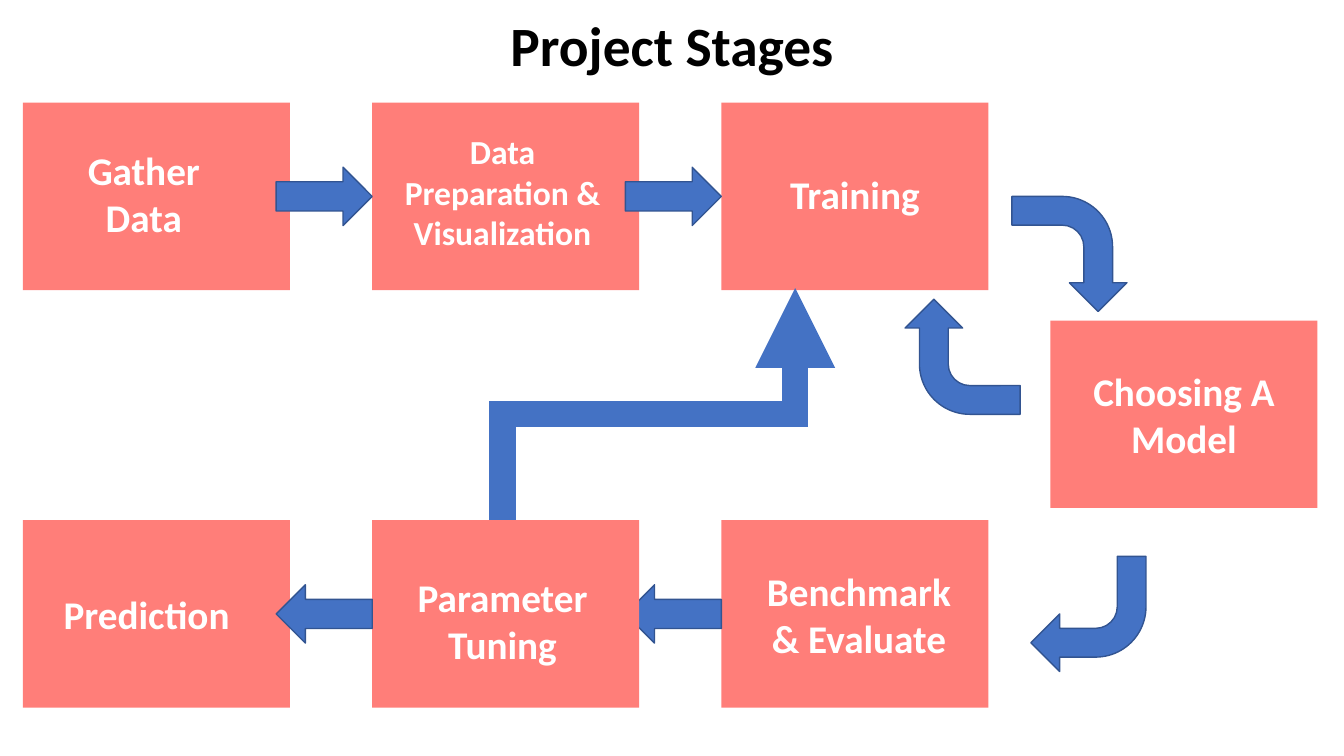
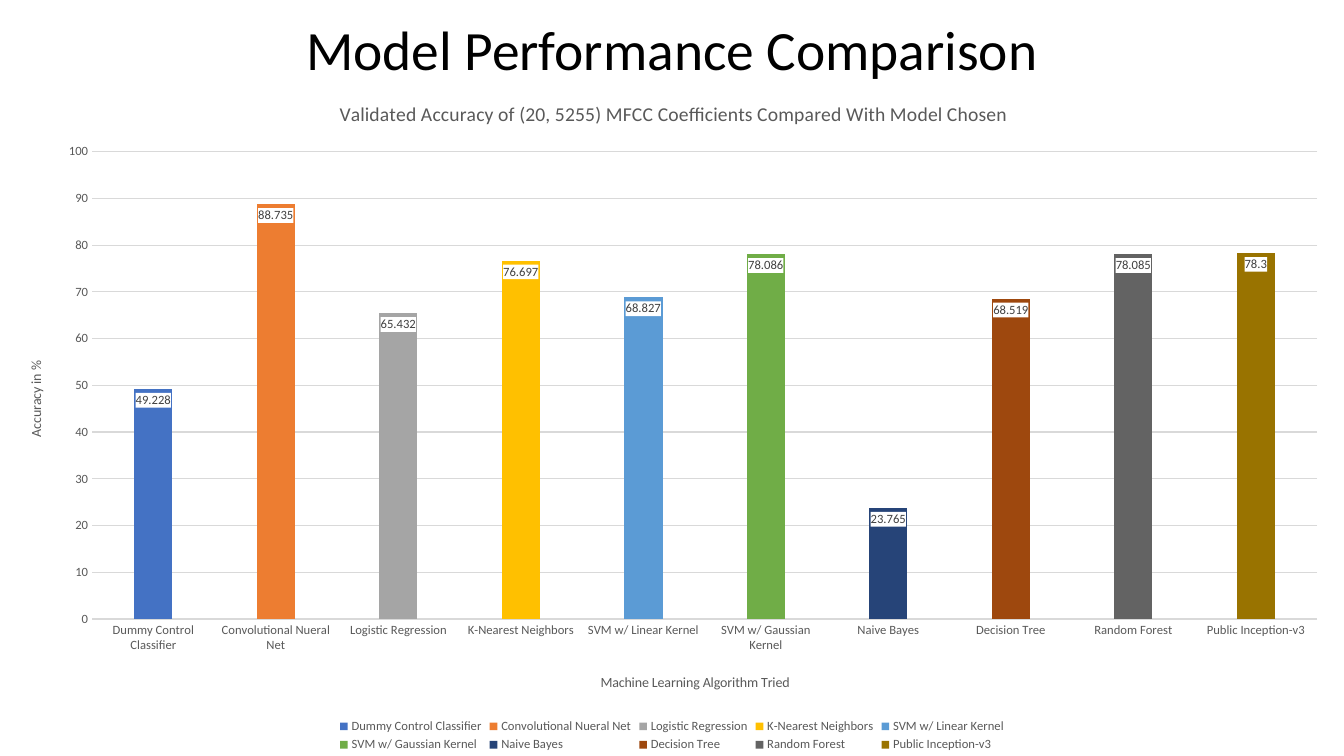
from pptx import Presentation
from pptx.chart.data import CategoryChartData
from pptx.dml.color import RGBColor
from pptx.enum.chart import XL_CHART_TYPE, XL_LABEL_POSITION, XL_LEGEND_POSITION, XL_TICK_MARK
from pptx.enum.shapes import MSO_CONNECTOR, MSO_SHAPE
from pptx.enum.text import MSO_ANCHOR, PP_ALIGN
from pptx.oxml import parse_xml
from pptx.oxml.ns import nsdecls, qn
from pptx.util import Cm, Pt

RECT, ARROW, BENT = MSO_SHAPE.RECTANGLE, MSO_SHAPE.RIGHT_ARROW, MSO_SHAPE.BENT_ARROW
ELBOW = MSO_CONNECTOR.ELBOW
CENTER, MIDDLE = PP_ALIGN.CENTER, MSO_ANCHOR.MIDDLE
COLUMNS, INSIDE_END = XL_CHART_TYPE.COLUMN_CLUSTERED, XL_LABEL_POSITION.INSIDE_END
BOTTOM, NO_TICK = XL_LEGEND_POSITION.BOTTOM, XL_TICK_MARK.NONE

FONT = "Calibri"
COLORS = {
    "title": "000000", "stage": "FF7E79", "stage_text": "FFFFFF",
    "arrow": "4472C4", "arrow_edge": "325491",
    "grid": "D9D9D9", "chart_text": "595959", "value_text": "404040",
}
SLIDE_W, SLIDE_H = 33.87, 19.05

# Stage grid, in cm
STAGE_W, STAGE_H = 6.73, 4.72
COL_X = [0.58 + 8.8 * i for i in range(3)]
MODEL_X = 26.47
TOP_Y, MODEL_Y, BOTTOM_Y = 2.59, 8.08, 13.11
ARROW_W, ARROW_H, TURN = 2.42, 1.47, 2.9

# Label, left, top, size, text width, shift right, shift down
STAGES = [
    ("Gather Data", COL_X[0], TOP_Y, 28, 4.78, -0.32, -0.08),
    ("Data Preparation & Visualization", COL_X[1], TOP_Y, 24, 4.95, -0.08, -0.12),
    ("Training", COL_X[2], TOP_Y, 28, 4.95, 0, -0.06),
    ("Choosing A Model", MODEL_X, MODEL_Y, 28, 4.95, 0, 0),
    ("Benchmark & Evaluate", COL_X[2], BOTTOM_Y, 28, 4.95, 0.1, 0),
    ("Prediction", COL_X[0], BOTTOM_Y, 28, 4.95, -0.25, 0),
]
TUNING = ("Parameter Tuning", COL_X[1], BOTTOM_Y, 28, 4.95, -0.08, 0.17)
# Left, top, rotation
TURNS = [(25.5, 4.95, 90), (25.98, 14.02, 180), (22.81, 7.54, 270)]

# Model, accuracy in %, column colour
RESULTS = [
    ("Dummy Control Classifier", 49.228, "4472C4"),
    ("Convolutional Nueral Net", 88.735, "ED7D31"),
    ("Logistic Regression", 65.432, "A5A5A5"),
    ("K-Nearest Neighbors", 76.697, "FFC000"),
    ("SVM w/ Linear Kernel", 68.827, "5B9BD5"),
    ("SVM w/ Gaussian Kernel", 78.086, "70AD47"),
    ("Naive Bayes", 23.765, "264478"),
    ("Decision Tree", 68.519, "9E480E"),
    ("Random Forest", 78.085, "636363"),
    ("Public Inception-v3", 78.3, "997300"),
]


def rgb(name):
    return RGBColor.from_string(COLORS[name])


def style_font(font, size, color, bold=False):
    font.name, font.size, font.bold = FONT, Pt(size), bold
    font.color.rgb = rgb(color)


def add_title(slide, text, top, height, bold):
    box = slide.shapes.add_textbox(0, Cm(top), Cm(SLIDE_W), Cm(height))
    frame = box.text_frame
    frame.word_wrap, frame.vertical_anchor = True, MIDDLE
    heading = frame.paragraphs[0]
    heading.alignment, heading.line_spacing = CENTER, 0.9
    run = heading.add_run()
    run.text = text
    style_font(run.font, 39.6, "title", bold)


def add_block(slide, preset, box, fill, edge=None, rotation=0):
    block = slide.shapes.add_shape(preset, *map(Cm, box))
    block.shadow.inherit = False
    block.fill.solid()
    block.fill.fore_color.rgb = rgb(fill)
    if edge:
        block.line.color.rgb, block.line.width = rgb(edge), Pt(1)
    else:
        block.line.fill.background()
    block.rotation = rotation
    return block


def add_stage(slide, label, left, top, size, text_w, shift_x, shift_y):
    stage = add_block(slide, RECT, (left, top, STAGE_W, STAGE_H), "stage")
    frame = stage.text_frame
    frame.word_wrap, frame.vertical_anchor = True, MIDDLE
    side = (STAGE_W - text_w) / 2
    frame.margin_left, frame.margin_right = Cm(side + shift_x), Cm(side - shift_x)
    frame.margin_top = Cm(max(0, 2 * shift_y))
    frame.margin_bottom = Cm(max(0, -2 * shift_y))
    frame.paragraphs[0].alignment = CENTER
    run = frame.paragraphs[0].add_run()
    run.text = label
    style_font(run.font, size, "stage_text", True)


def add_flow_arrow(slide, next_col, row_y, rotation=0):
    """Arrow in the gap to the left of a column."""
    box = (COL_X[next_col] - ARROW_W, row_y + (STAGE_H - ARROW_H) / 2, ARROW_W, ARROW_H)
    add_block(slide, ARROW, box, "arrow", "arrow_edge", rotation)


def add_feedback_arrow(slide, left, bottom, right, top):
    """Elbow that leaves upward: laid out on its side, then turned by 90 degrees."""
    mid_x, mid_y = (left + right) / 2, (top + bottom) / 2
    half_rise, half_run = (bottom - top) / 2, (right - left) / 2
    elbow = slide.shapes.add_connector(
        ELBOW, Cm(mid_x + half_rise), Cm(mid_y + half_run),
        Cm(mid_x - half_rise), Cm(mid_y - half_run))
    elbow.line.color.rgb, elbow.line.width = rgb("arrow"), Pt(19)
    properties = elbow._element.spPr
    properties.find(qn("a:xfrm")).set("rot", str(90 * 60000))
    outline = properties.find(qn("a:ln"))
    outline.append(parse_xml(f'<a:miter {nsdecls("a")} lim="800000"/>'))
    outline.append(parse_xml(f'<a:tailEnd {nsdecls("a")} type="triangle"/>'))
    properties.append(parse_xml(f'<a:effectLst {nsdecls("a")}/>'))


def place(element, x, y, w=None, h=None, inner=False):
    """Fix a chart part at fractions of the chart area."""
    old = element.find(qn("c:layout"))
    if old is not None:
        element.remove(old)
    parts = ['<c:layoutTarget val="inner"/>'] if inner else []
    parts += [f'<c:{axis}Mode val="edge"/>' for axis in "xy"]
    sizes = {"x": x, "y": y, "w": w, "h": h}
    parts += [f'<c:{key} val="{value}"/>' for key, value in sizes.items() if value is not None]
    layout = parse_xml(f'<c:layout {nsdecls("c")}><c:manualLayout>'
                       f'{"".join(parts)}</c:manualLayout></c:layout>')
    overlay = element.find(qn("c:overlay"))
    if overlay is None:
        element.insert(0, layout)
    else:
        overlay.addprevious(layout)


def set_chart_title(title, text, size, x, y):
    run = title.text_frame.paragraphs[0].add_run()
    run.text = text
    style_font(run.font, size, "chart_text")
    place(title._element, x, y)


def style_axis(axis, title, x, y):
    axis.major_tick_mark = axis.minor_tick_mark = NO_TICK
    style_font(axis.tick_labels.font, 9, "chart_text")
    set_chart_title(axis.axis_title, title, 10, x, y)


def add_accuracy_chart(slide, left, top, width, height):
    data = CategoryChartData()
    data.categories = [model for model, _, _ in RESULTS]
    data.add_series("Series 1", [accuracy for _, accuracy, _ in RESULTS])
    chart = slide.shapes.add_chart(COLUMNS, *map(Cm, (left, top, width, height)), data).chart
    style_font(chart.font, 10, "title")
    chart.has_title = True
    set_chart_title(chart.chart_title,
                    "Validated Accuracy of (20, 5255) MFCC Coefficients Compared With Model Chosen",
                    14, 0.25, 0.03)

    # Columns
    plot = chart.plots[0]
    plot.gap_width, plot.overlap, plot.vary_by_categories = 219, -27, True
    series = plot.series[0]
    for index, (_, _, color) in enumerate(RESULTS):
        fill = series.points[index].format.fill
        fill.solid()
        fill.fore_color.rgb = RGBColor.from_string(color)

    # Value labels on white
    labels = series.data_labels
    labels.show_value, labels.position = True, INSIDE_END
    style_font(labels.font, 9, "value_text")
    labels._element.find(qn("c:txPr")).addprevious(parse_xml(
        f'<c:spPr {nsdecls("c", "a")}><a:solidFill><a:srgbClr val="FFFFFF"/>'
        '</a:solidFill></c:spPr>'))

    # Axes
    models, accuracy = chart.category_axis, chart.value_axis
    style_axis(models, "Machine Learning Algorithm Tried", 0.445, 0.875)
    style_axis(accuracy, "Accuracy in %", 0.018, 0.415)
    accuracy.minimum_scale, accuracy.maximum_scale, accuracy.major_unit = 0, 100, 10
    accuracy.has_major_gridlines = True
    for line in (models.format.line, accuracy.major_gridlines.format.line):
        line.color.rgb, line.width = rgb("grid"), Pt(0.75)
    accuracy.format.line.fill.background()

    # Legend and plot area
    chart.has_legend = True
    legend = chart.legend
    legend.position, legend.include_in_layout = BOTTOM, False
    style_font(legend.font, 9, "chart_text")
    place(legend._element, 0.25, 0.94, 0.5, 0.06)
    place(chart._chartSpace.chart.plotArea, 0.0685, 0.1105, 0.9115, 0.688, inner=True)


def build_stages_slide(slide):
    add_title(slide, "Project Stages", 0.43, 1.57, True)
    for stage in STAGES:
        add_stage(slide, *stage)
    for col in (1, 2):
        add_flow_arrow(slide, col, TOP_Y)
    # The tuning box covers the ends of the arrows that meet it
    add_feedback_arrow(slide, 12.67, 13.61, 20.04, 7.26)
    add_flow_arrow(slide, 2, BOTTOM_Y, 180)
    add_stage(slide, *TUNING)
    add_flow_arrow(slide, 1, BOTTOM_Y, 180)
    for left, top, rotation in TURNS:
        add_block(slide, BENT, (left, top, TURN, TURN), "arrow", "arrow_edge", rotation)


def build_comparison_slide(slide):
    add_title(slide, "Model Performance Comparison", 0.41, 1.85, False)
    add_accuracy_chart(slide, 0, 1.93, SLIDE_W, SLIDE_H - 1.93)


def main():
    deck = Presentation()
    deck.slide_width, deck.slide_height = Cm(SLIDE_W), Cm(SLIDE_H)
    for build in (build_stages_slide, build_comparison_slide):
        build(deck.slides.add_slide(deck.slide_layouts[6]))
    deck.save("out.pptx")


if __name__ == "__main__":
    main()
